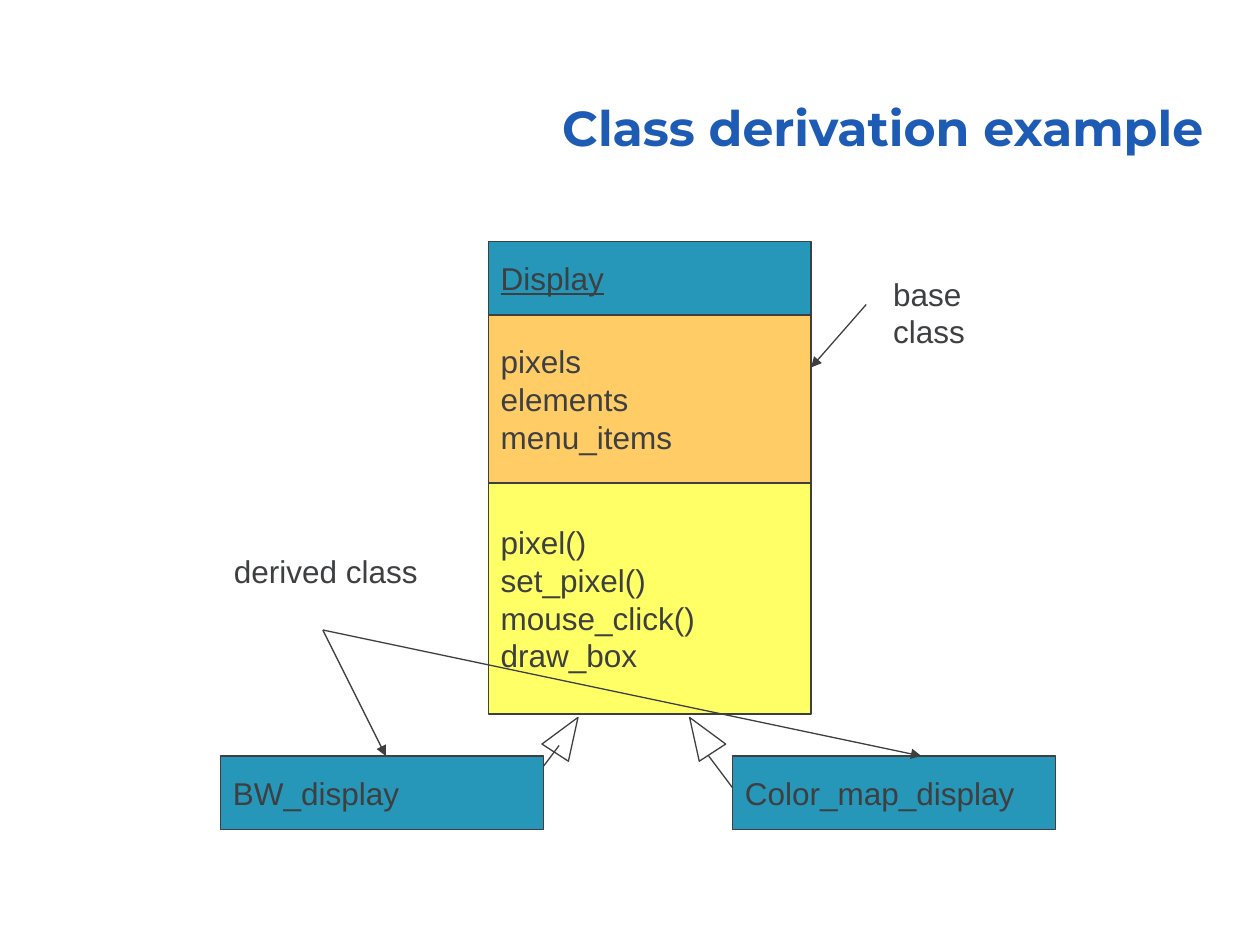
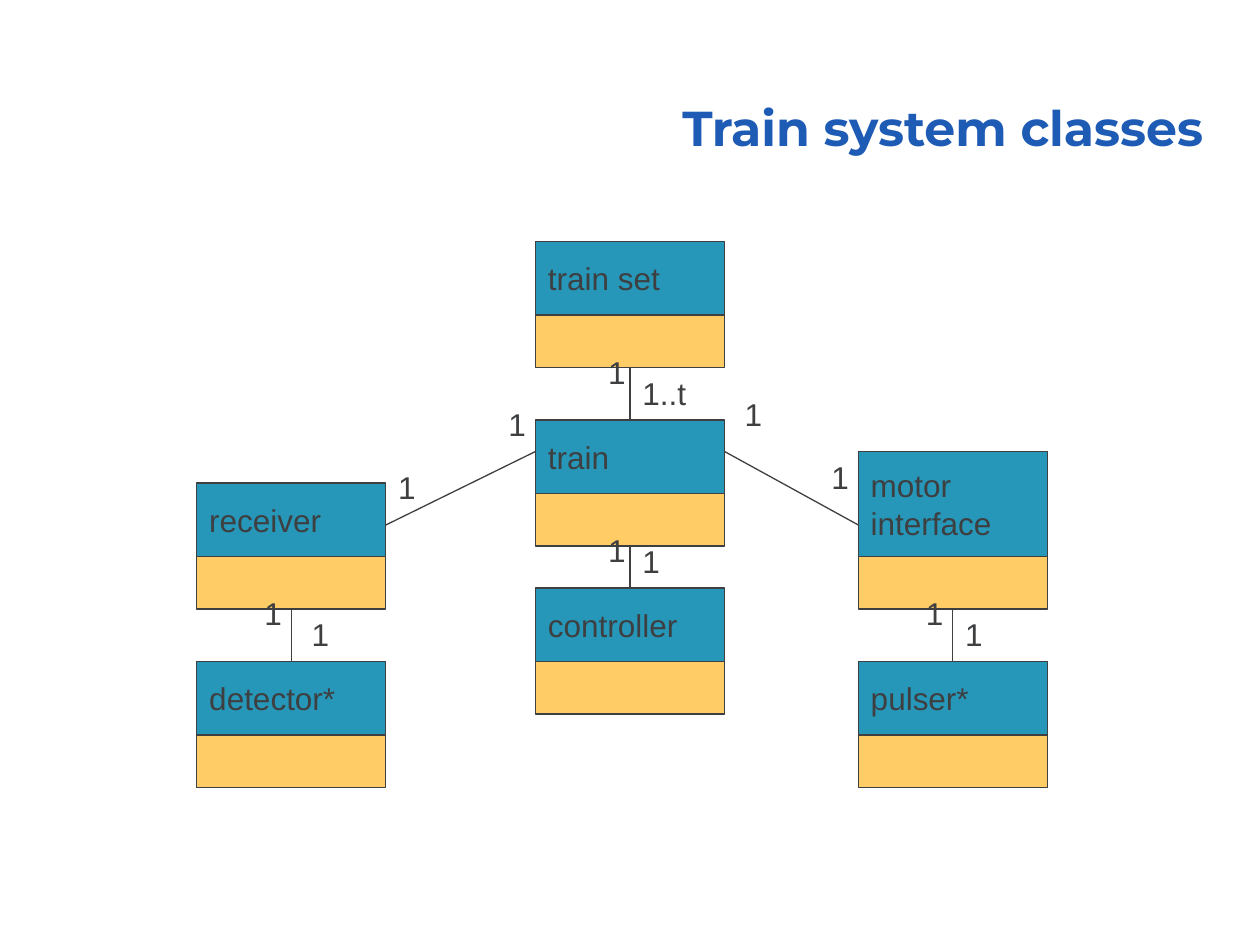
from lxml.etree import SubElement
from pptx import Presentation
from pptx.dml.color import RGBColor
from pptx.enum.shapes import MSO_CONNECTOR, MSO_SHAPE
from pptx.enum.text import MSO_ANCHOR, MSO_AUTO_SIZE, PP_ALIGN
from pptx.oxml.ns import qn
from pptx.util import Pt

TITLE_BLUE = RGBColor(0x1E, 0x5B, 0xB4)
INK = RGBColor(0x3D, 0x3F, 0x41)
TEAL = RGBColor(0x27, 0x97, 0xB9)
ORANGE = RGBColor(0xFF, 0xCC, 0x66)
YELLOW = RGBColor(0xFF, 0xFF, 0x66)
WHITE = RGBColor(0xFF, 0xFF, 0xFF)

NAME_HEIGHT = 42
ATTRIBUTES_HEIGHT = 30
LINE_HEIGHT = 21.6
DISPLAY_WIDTH = 184.5
TRAIN_WIDTH = 108


def set_fonts(text_frame, name, size, color):
    for paragraph in text_frame.paragraphs:
        paragraph.font.name = name
        paragraph.font.size = Pt(size)
        paragraph.font.color.rgb = color


def add_title_slide(presentation, title):
    slide = presentation.slides.add_slide(presentation.slide_layouts[6])
    frame = slide.shapes.add_textbox(Pt(211.5), Pt(38), Pt(483), Pt(55.5)).text_frame
    frame.word_wrap = True
    frame.vertical_anchor = MSO_ANCHOR.BOTTOM
    frame.text = title
    set_fonts(frame, "Montserrat", 28, TITLE_BLUE)
    paragraph = frame.paragraphs[0]
    paragraph.font.bold = True
    paragraph.alignment = PP_ALIGN.RIGHT
    paragraph.line_spacing = 0.9
    return slide


def add_outlined(slide, kind, left, top, width, height, fill):
    shape = slide.shapes.add_shape(kind, Pt(left), Pt(top), Pt(width), Pt(height))
    shape.shadow.inherit = False
    shape.fill.solid()
    shape.fill.fore_color.rgb = fill
    shape.line.color.rgb = INK
    shape.line.width = Pt(0.75)
    return shape


def add_box(slide, left, top, width, height, fill, text=""):
    box = add_outlined(slide, MSO_SHAPE.RECTANGLE, left, top, width, height, fill)
    if text:
        frame = box.text_frame
        frame.word_wrap = False
        frame.vertical_anchor = MSO_ANCHOR.MIDDLE
        frame.text = text
        set_fonts(frame, "Arial", 18, INK)
        for paragraph in frame.paragraphs:
            paragraph.alignment = PP_ALIGN.LEFT
    return box


def add_class(slide, left, top, name, name_height=NAME_HEIGHT):
    """Add a class with an empty attribute part; return both boxes."""
    name_box = add_box(slide, left, top, TRAIN_WIDTH, name_height, TEAL, name)
    attributes_box = add_box(slide, left, top + name_height, TRAIN_WIDTH,
                             ATTRIBUTES_HEIGHT, ORANGE)
    return name_box, attributes_box


def add_label(slide, left, top, text, width=24.5):
    height = 7.2 + LINE_HEIGHT * len(text.split("\n"))
    frame = slide.shapes.add_textbox(Pt(left), Pt(top), Pt(width), Pt(height)).text_frame
    frame.word_wrap = False
    frame.auto_size = MSO_AUTO_SIZE.SHAPE_TO_FIT_TEXT
    frame.text = text
    set_fonts(frame, "Arial", 18, INK)


def add_line(slide, start, end, arrow=False):
    line = slide.shapes.add_connector(MSO_CONNECTOR.STRAIGHT, *map(Pt, start + end))
    line.line.color.rgb = INK
    line.line.width = Pt(0.75)
    properties = line._element.spPr
    if arrow:
        SubElement(properties.find(qn("a:ln")), qn("a:tailEnd"), type="triangle")
    SubElement(properties, qn("a:effectLst"))
    return line


def join_below(slide, upper, lower):
    """Link the bottom of one class to the top of another."""
    line = add_line(slide, (0, 0), (0, 0))
    line.begin_connect(upper[1], 2)
    line.end_connect(lower[0], 0)


def build_derivation_slide(presentation):
    slide = add_title_slide(presentation, "Class derivation example")
    top = 138
    for height, fill, text in (
        (NAME_HEIGHT, TEAL, "Display"),
        (96, ORANGE, "pixels\nelements\nmenu_items"),
        (132, YELLOW, "pixel()\nset_pixel()\nmouse_click()\ndraw_box"),
    ):
        box = add_box(slide, 279, top, DISPLAY_WIDTH, height, fill, text)
        box.text_frame.paragraphs[0].font.underline = text == "Display"
        top += height

    for left, name in ((126, "BW_display"), (418.5, "Color_map_display")):
        add_box(slide, left, 432, DISPLAY_WIDTH, NAME_HEIGHT, TEAL, name)
    for left, rotation in ((314.8, 33), (391.6, -33)):
        triangle = add_outlined(slide, MSO_SHAPE.ISOSCELES_TRIANGLE,
                                left, 408, 18, 24, WHITE)
        triangle.rotation = rotation
    add_line(slide, (319.5, 426), (310.5, 438))
    add_line(slide, (405, 432), (418.5, 450))

    for derived_top in ((220.5, 432), (526.5, 432)):
        add_line(slide, (184.5, 360), derived_top, arrow=True)
    add_line(slide, (495, 174), (463.5, 210), arrow=True)
    add_label(slide, 503.3, 153.4, "base\nclass", 55.8)
    add_label(slide, 126.6, 312, "derived class", 119.8)


def build_train_slide(presentation):
    slide = add_title_slide(presentation, "Train system classes")
    left, center, right = 112.5, 306, 490.5
    train_set = add_class(slide, center, 138, "train set")
    train = add_class(slide, center, 240, "train")
    receiver = add_class(slide, left, 276, "receiver")
    controller = add_class(slide, center, 336, "controller")
    motor = add_class(slide, right, 258, "motor\ninterface", 60)
    detector = add_class(slide, left, 378, "detector*")
    pulser = add_class(slide, right, 378, "pulser*")

    for upper, lower in ((train_set, train), (train, controller),
                         (receiver, detector), (motor, pulser)):
        join_below(slide, upper, lower)
    add_line(slide, (center, 258), (left + TRAIN_WIDTH, 300))
    add_line(slide, (center + TRAIN_WIDTH, 258), (right, 300))

    add_label(slide, 360, 210, "1..t", 41)
    for label_left, label_top in (
        (340.5, 198), (418.5, 222), (468, 258), (522, 336), (544.5, 348),
        (340.5, 300), (360, 306), (283.5, 228), (220.5, 264), (144, 336), (171, 348),
    ):
        add_label(slide, label_left, label_top, "1")


def main():
    presentation = Presentation()
    presentation.slide_width = Pt(720)
    presentation.slide_height = Pt(540)
    build_derivation_slide(presentation)
    build_train_slide(presentation)
    presentation.save("out.pptx")


if __name__ == "__main__":
    main()
